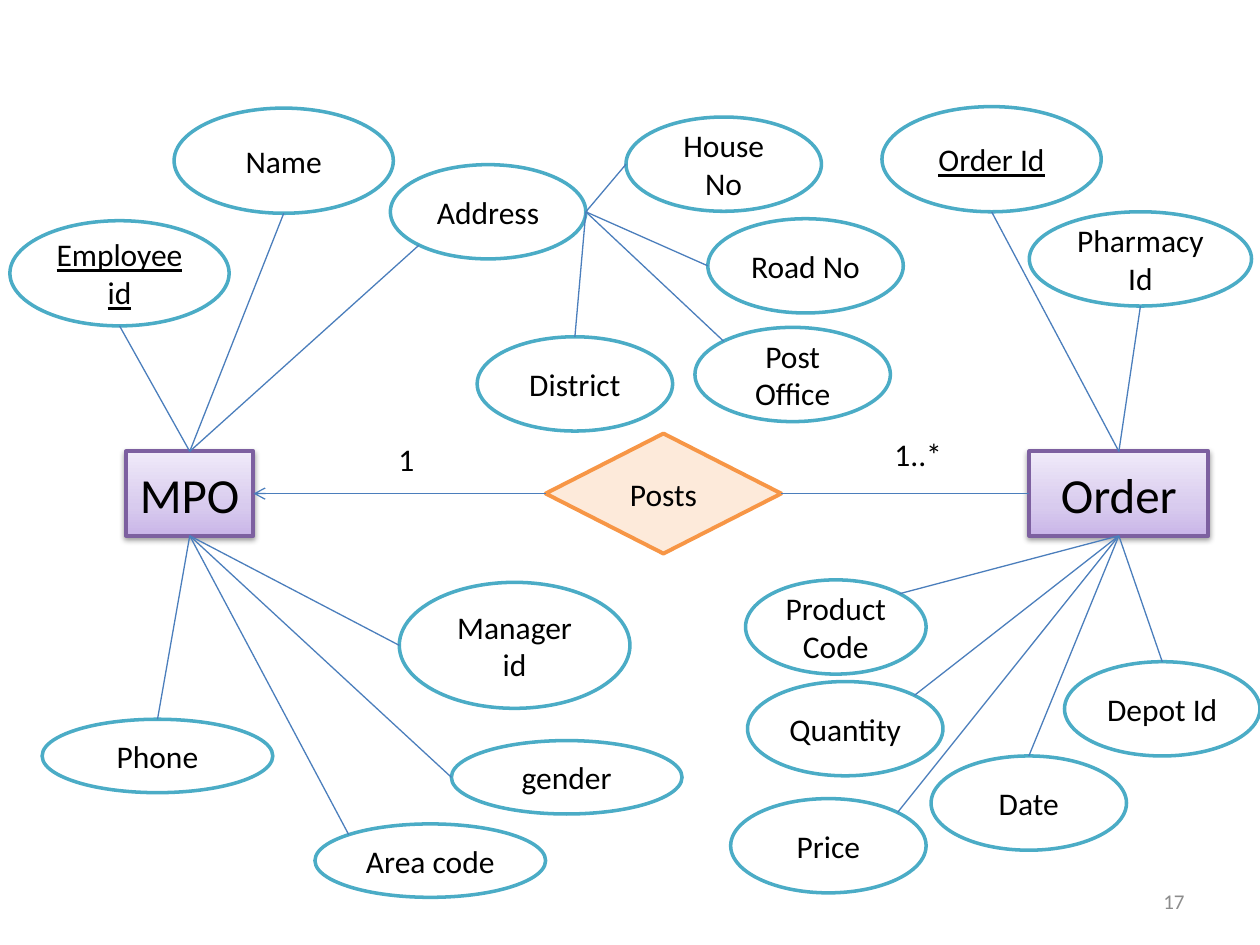
"""Build an entity-relationship slide linking MPO and Order through Posts."""
from copy import deepcopy
from math import sqrt

from lxml import etree
from pptx import Presentation
from pptx import util as u
from pptx.dml.color import RGBColor
from pptx.enum import shapes, text
from pptx.oxml import ns

COLORS = {
    "text": "000000", "number": "8C8C8C", "connector": "4B7EBC",
    "attribute": "FFFFFF", "attribute_line": "4BACC6",
    "relation": "FDEADA", "relation_line": "F79646",
    "entity_dark": "C9B5E8", "entity_mid": "D8CBEE",
    "entity_light": "F0EAF9", "entity_line": "7D60A0",
}
TOP, LEFT, BOTTOM, RIGHT = range(4)
DIAGONAL = 1 / sqrt(2)
OVAL_SITES = {
    "top": (0, -1), "bottom": (0, 1), "left": (-1, 0), "right": (1, 0),
    "top left": (-DIAGONAL, -DIAGONAL), "top right": (DIAGONAL, -DIAGONAL),
    "bottom left": (-DIAGONAL, DIAGONAL),
}
WIDE, FLAT, SMALL = (4.42, 2.12), (4.65, 1.48), (3.94, 1.9)
MPO_ABOVE = [
    ("Employee id", (0.2, 4.45), WIDE, "bottom"),
    ("Name", (3.51, 2.18), WIDE, "bottom"),
    ("Address", (7.87, 3.32), SMALL, "bottom left"),
]
MPO_BELOW = [
    ("gender", (9.1, 14.93), FLAT, "left"),
    ("Phone", (0.85, 14.5), FLAT, "top"),
    ("Area code", (6.35, 16.61), FLAT, "top left"),
    ("Manager id", (8.05, 11.74), (4.65, 2.54), "left"),
]
ADDRESS_PARTS = [
    ("House No", (12.62, 2.36), SMALL, "left"),
    ("Road No", (14.27, 4.41), SMALL, "left"),
    ("District", (9.62, 6.79), SMALL, "top"),
    ("Post Office", (14.01, 6.6), SMALL, "top left"),
]
ORDER_ABOVE = [
    ("Order Id", (17.78, 2.15), WIDE, "bottom"),
    ("Pharmacy Id", (20.75, 4.27), (4.48, 1.9), "bottom"),
]
ORDER_BELOW = [
    ("Product Code", (15.03, 11.69), (3.64, 1.9), "top right"),
    ("Quantity", (15.07, 13.74), SMALL, "top right"),
    ("Price", (14.73, 16.1), SMALL, "top right"),
    ("Date", (18.77, 15.24), SMALL, "top"),
    ("Depot Id", (21.46, 13.34), SMALL, "top"),
]
KEYS = {"Employee id", "Order Id"}


def color(name):
    return RGBColor.from_string(COLORS[name])


def write(shape, words, points=18, align=text.PP_ALIGN.CENTER, ink="text"):
    frame = shape.text_frame
    frame.word_wrap = True
    frame.text = words
    paragraph = frame.paragraphs[0]
    paragraph.alignment = align
    paragraph.font.name = "Calibri"
    paragraph.font.size = u.Pt(points)
    paragraph.font.color.rgb = color(ink)
    return paragraph


def add_box(slide, kind, place, size, line, width):
    shape = slide.shapes.add_shape(kind, *map(u.Cm, place + size))
    shape.shadow.inherit = False
    shape.line.color.rgb = color(line)
    shape.line.width = u.Pt(width)
    shape.text_frame.vertical_anchor = text.MSO_ANCHOR.MIDDLE
    return shape


def add_entity(slide, name, place, size):
    shape = add_box(slide, shapes.MSO_SHAPE.RECTANGLE, place, size, "entity_line", 2.25)
    shape.fill.gradient()
    shape.fill.gradient_angle = 90
    properties = shape._element.spPr
    stop_list = properties.find(".//" + ns.qn("a:gsLst"))
    stop_list.append(deepcopy(stop_list[0]))
    stops = [("entity_dark", 0), ("entity_mid", 0.35), ("entity_light", 1)]
    for stop, (tone, position) in zip(shape.fill.gradient_stops, stops):
        stop.color.rgb = color(tone)
        stop.position = position
    shadow = etree.SubElement(
        properties.find(ns.qn("a:effectLst")), ns.qn("a:outerShdw"),
        blurRad="40000", dist="20000", dir="5400000", rotWithShape="0")
    shade = etree.SubElement(shadow, ns.qn("a:srgbClr"), val="000000")
    etree.SubElement(shade, ns.qn("a:alpha"), val="38000")
    write(shape, name, 28)
    return shape


def add_relation(slide, name, place, size):
    shape = add_box(slide, shapes.MSO_SHAPE.FLOWCHART_DECISION, place, size,
                    "relation_line", 2.25)
    shape.fill.solid()
    shape.fill.fore_color.rgb = color("relation")
    write(shape, name)
    return shape


def add_attribute(slide, name, place, size):
    shape = add_box(slide, shapes.MSO_SHAPE.OVAL, place, size, "attribute_line", 2)
    shape.fill.solid()
    shape.fill.fore_color.rgb = color("attribute")
    paragraph = write(shape, name)
    if name in KEYS:
        paragraph.font.underline = True
    return shape


def add_label(slide, words, place, size, **style):
    shape = slide.shapes.add_textbox(*map(u.Cm, place + size))
    write(shape, words, **style)
    return shape


def oval_point(oval, site):
    across, down = OVAL_SITES[site]
    return (u.Emu(round(oval.left + oval.width * (1 + across) / 2)),
            u.Emu(round(oval.top + oval.height * (1 + down) / 2)))


def add_line(slide, start=(0, 0), end=(0, 0)):
    connector = slide.shapes.add_connector(shapes.MSO_CONNECTOR.STRAIGHT, *start, *end)
    connector.line.color.rgb = color("connector")
    connector.line.width = u.Pt(0.75)
    etree.SubElement(connector._element.spPr, ns.qn("a:effectLst"))
    return connector


def link(slide, source, source_side, target, target_side, arrow=False):
    connector = add_line(slide)
    connector.begin_connect(source, source_side)
    connector.end_connect(target, target_side)
    if arrow:
        line = connector._element.spPr.find(ns.qn("a:ln"))
        etree.SubElement(line, ns.qn("a:tailEnd"), type="arrow")


def add_attributes(slide, entity, side, attributes):
    ovals = {}
    for name, place, size, site in attributes:
        ovals[name] = add_attribute(slide, name, place, size)
        connector = add_line(slide, end=oval_point(ovals[name], site))
        connector.begin_connect(entity, side)
    return ovals


def add_parts(slide, owner, parts):
    for name, place, size, site in parts:
        oval = add_attribute(slide, name, place, size)
        add_line(slide, oval_point(oval, site), oval_point(owner, "right"))


def main():
    presentation = Presentation()
    presentation.slide_width, presentation.slide_height = u.Cm(25.4), u.Cm(19.05)
    slide = presentation.slides.add_slide(presentation.slide_layouts[6])

    number = add_label(slide, "17", (18.2, 17.66), (5.93, 1.01), points=12,
                       align=text.PP_ALIGN.RIGHT, ink="number")
    number.text_frame.vertical_anchor = text.MSO_ANCHOR.MIDDLE

    posts = add_relation(slide, "Posts", (11, 8.74), (4.75, 2.42))
    order = add_entity(slide, "Order", (20.75, 9.1), (3.61, 1.7))
    mpo = add_entity(slide, "MPO", (2.54, 9.1), (2.57, 1.7))
    link(slide, posts, RIGHT, order, LEFT)
    link(slide, posts, LEFT, mpo, RIGHT, arrow=True)
    for words, place in [("1", (7.78, 8.74)), ("1..*", (17.78, 8.64))]:
        add_label(slide, words, place, (1.7, 1.02), align=text.PP_ALIGN.LEFT)

    add_attributes(slide, mpo, BOTTOM, MPO_BELOW)
    address = add_attributes(slide, mpo, TOP, MPO_ABOVE)["Address"]
    add_parts(slide, address, ADDRESS_PARTS)
    add_attributes(slide, order, TOP, ORDER_ABOVE)
    add_attributes(slide, order, BOTTOM, ORDER_BELOW)
    presentation.save("out.pptx")


if __name__ == "__main__":
    main()
